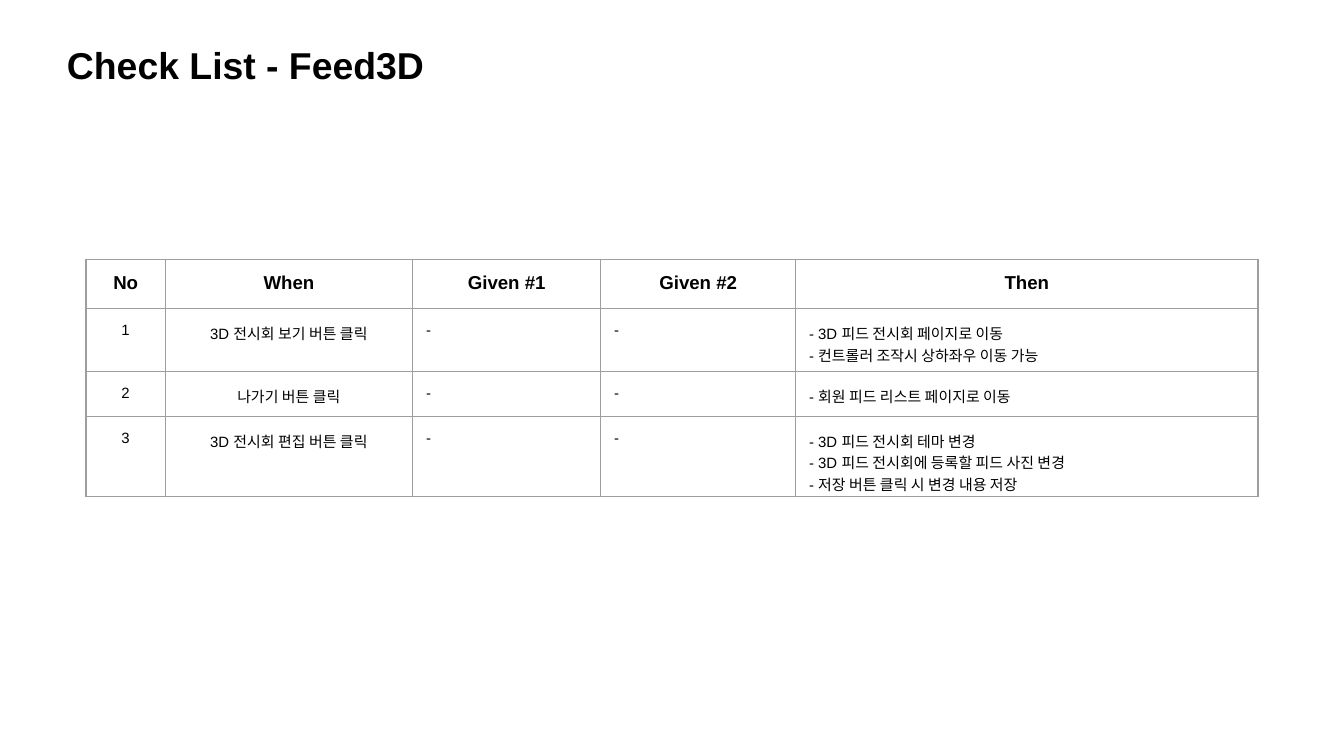
"""Build the Feed3D check list slide."""
import pptx
import pptx.dml.color
import pptx.enum.text
import pptx.oxml
import pptx.oxml.ns
import pptx.util
from dataclasses import dataclass
from typing import NamedTuple

Inches = pptx.util.Inches
Pt = pptx.util.Pt
ALIGN = pptx.enum.text.PP_ALIGN


@dataclass(frozen=True)
class Theme:
    """Colours, type sizes and lengths shared by the slide."""
    font: str = "Arial"
    ink: str = "000000"
    rule: str = "9E9E9E"
    rule_width: float = 0.75
    title_size: int = 20
    header_size: int = 10
    body_size: int = 8
    inset: float = 0.1


class Column(NamedTuple):
    """Heading, share of the slide width and body alignment."""
    heading: str
    share: float
    align: ALIGN


class Check(NamedTuple):
    """One user action with its conditions and expected results."""
    when: str
    then: tuple[str, ...]
    given_1: str = "-"
    given_2: str = "-"


THEME = Theme()
SLIDE_WIDTH = Inches(10)
SLIDE_HEIGHT = SLIDE_WIDTH * 9 // 16
ROW_SHARE = 0.055
COLUMNS = (
    Column("No", 0.059, ALIGN.CENTER),
    Column("When", 0.184, ALIGN.CENTER),
    Column("Given #1", 0.14, ALIGN.LEFT),
    Column("Given #2", 0.145, ALIGN.LEFT),
    Column("Then", 0.344, ALIGN.LEFT),
)
CHECKS = (
    Check("3D 전시회 보기 버튼 클릭",
          ("- 3D 피드 전시회 페이지로 이동", "- 컨트롤러 조작시 상하좌우 이동 가능")),
    Check("나가기 버튼 클릭", ("- 회원 피드 리스트 페이지로 이동",)),
    Check("3D 전시회 편집 버튼 클릭",
          ("- 3D 피드 전시회 테마 변경", "- 3D 피드 전시회에 등록할 피드 사진 변경",
           "- 저장 버튼 클릭 시 변경 내용 저장")),
)


def across(share: float) -> int:
    """Turn a share of the slide width into a length."""
    return round(SLIDE_WIDTH * share)


def down(share: float) -> int:
    """Turn a share of the slide height into a length."""
    return round(SLIDE_HEIGHT * share)


def apply(target: object, values: dict[str, object]) -> None:
    """Set each named attribute on the target."""
    for name, value in values.items():
        setattr(target, name, value)


def margins() -> dict[str, object]:
    """Give equal margins on all four sides."""
    return {f"margin_{side}": Inches(THEME.inset)
            for side in ("left", "right", "top", "bottom")}


def write(frame: object, lines: tuple[str, ...], size: int, bold: bool, align: ALIGN) -> None:
    """Write one paragraph per line in the theme font."""
    for index, line in enumerate(lines):
        paragraph = frame.add_paragraph() if index else frame.paragraphs[0]
        paragraph.alignment = align
        run = paragraph.add_run()
        run.text = line
        apply(run.font, {"name": THEME.font, "size": Pt(size), "bold": bold})
        run.font.color.rgb = pptx.dml.color.RGBColor.from_string(THEME.ink)


def outline(cell: object) -> None:
    """Rule all four sides of a cell and leave it unfilled."""
    properties = cell._tc.get_or_add_tcPr()
    for side in "LRTB":
        properties.append(pptx.oxml.parse_xml(
            f'<a:ln{side} {pptx.oxml.ns.nsdecls("a")} w="{Pt(THEME.rule_width)}">'
            f'<a:solidFill><a:srgbClr val="{THEME.rule}"/></a:solidFill></a:ln{side}>'))
    cell.fill.background()


def draw_title(slide: object, title: str) -> None:
    """Draw the slide title."""
    frame = slide.shapes.add_textbox(
        across(0.04), down(0.038), across(0.594), down(0.096)).text_frame
    apply(frame, margins() | {
        "word_wrap": True, "auto_size": pptx.enum.text.MSO_AUTO_SIZE.SHAPE_TO_FIT_TEXT})
    write(frame, (title,), THEME.title_size, True, ALIGN.LEFT)


def draw_checks(slide: object, checks: tuple[Check, ...]) -> None:
    """Draw the table of checks under its headings."""
    row_count = len(checks) + 1
    table = slide.shapes.add_table(
        row_count, len(COLUMNS), across(0.064), down(0.343),
        across(sum(column.share for column in COLUMNS)),
        down(ROW_SHARE * row_count)).table
    apply(table, {"first_row": False, "horz_banding": False})
    for row in table.rows:
        row.height = down(ROW_SHARE)
    bodies = [((str(number),), (check.when,), (check.given_1,), (check.given_2,), check.then)
              for number, check in enumerate(checks, 1)]
    for place, column in enumerate(COLUMNS):
        table.columns[place].width = across(column.share)
        entries = [((column.heading,), THEME.header_size, True, ALIGN.CENTER)]
        entries += [(body[place], THEME.body_size, False, column.align) for body in bodies]
        for level, entry in enumerate(entries):
            cell = table.cell(level, place)
            apply(cell, margins())
            outline(cell)
            write(cell.text_frame, *entry)


def main() -> None:
    """Build and save the slide."""
    deck = pptx.Presentation()
    apply(deck, {"slide_width": SLIDE_WIDTH, "slide_height": SLIDE_HEIGHT})
    slide = deck.slides.add_slide(deck.slide_layouts[6])
    draw_title(slide, "Check List - Feed3D")
    draw_checks(slide, CHECKS)
    deck.save("out.pptx")


if __name__ == "__main__":
    main()
